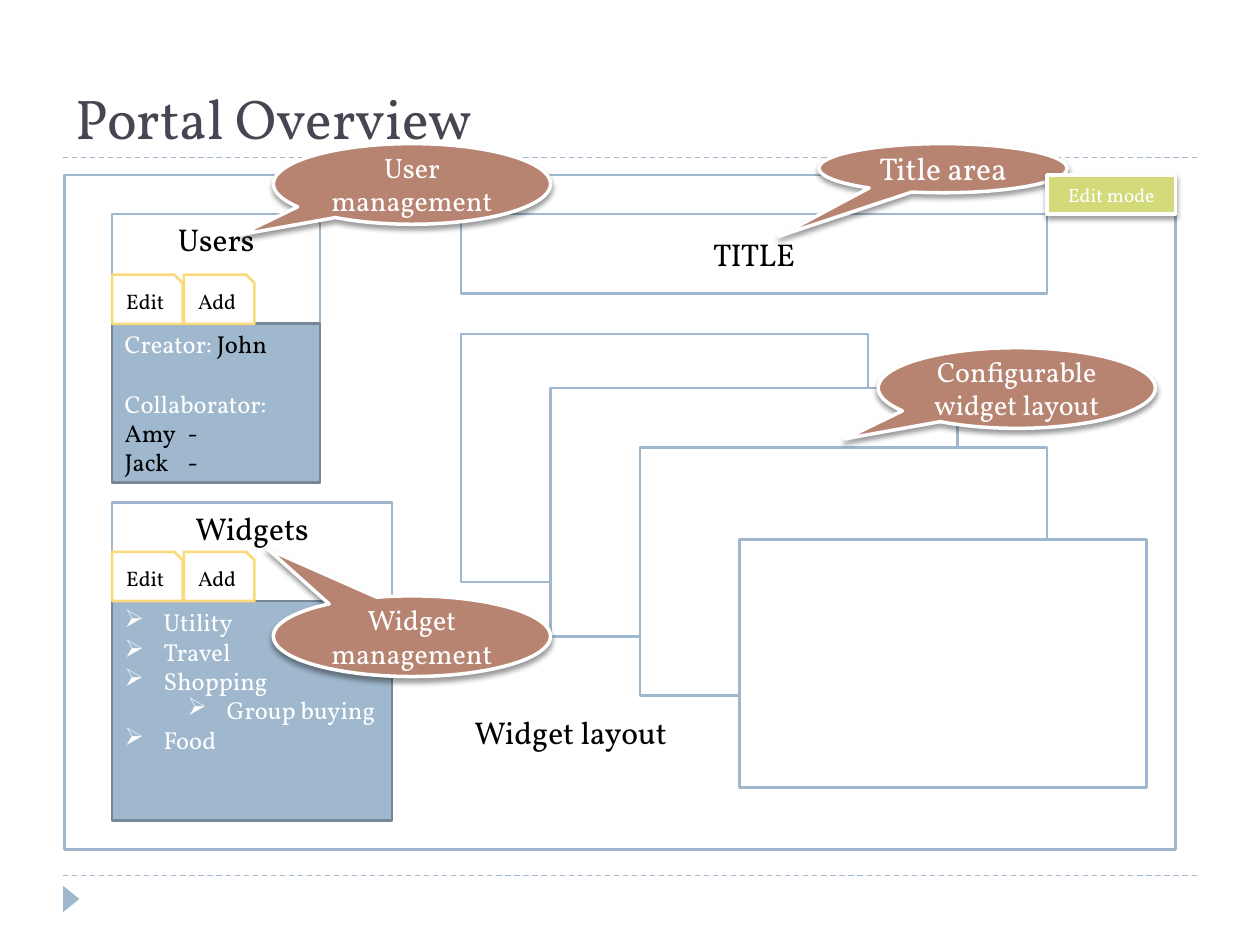
"""Build the portal overview slide with its panels, widgets and callouts."""
from lxml import etree
from pptx import Presentation
from pptx import util as u
from pptx.dml.color import RGBColor
from pptx.enum import dml, shapes, text
from pptx.oxml.ns import qn

PX = 9144
BLUE, SLATE, YELLOW, LIME, CLAY = "9FB8CD", "768898", "FADA7A", "D2DA7A", "B88472"
WHITE, BLACK, INK = "FFFFFF", "000000", "464653"
SHAPE, ANCHOR, ALIGN = shapes.MSO_SHAPE, text.MSO_ANCHOR, text.PP_ALIGN


def px(n):
    return u.Emu(n * PX)


def rgb(value):
    return RGBColor.from_string(value)


def sub(parent, tag, **attrs):
    el = etree.SubElement(parent, qn(tag))
    for name, value in attrs.items():
        el.set(name, str(value))
    return el


def add_run(p, content, size, color, font):
    r = p.add_run()
    r.text = content
    r.font.size, r.font.name = u.Pt(size), font
    r.font.color.rgb = rgb(color)


def write(tf, *lines, size=18, color=BLACK, font="Vollkorn", align=ALIGN.CENTER, anchor=ANCHOR.MIDDLE):
    """Write one paragraph per line; a line is a string or a list of (text, color) runs."""
    tf.word_wrap, tf.vertical_anchor = True, anchor
    for i, line in enumerate(lines):
        p = tf.add_paragraph() if i else tf.paragraphs[0]
        p.alignment = align
        for content, c in [(line, color)] if isinstance(line, str) else line:
            add_run(p, content, size, c, font)
    return tf.paragraphs


def add_bullet(p, level=0):
    p.level = level
    pPr = p._p.get_or_add_pPr()
    pPr.set("marL", str(px(31 + 50 * level)))
    pPr.set("indent", str(px(-31)))
    sub(pPr, "a:buChar", char="➢")


class Board:
    def __init__(self, slide):
        self.s = slide

    def title(self, content, x, y, w, h):
        sp = self.s.shapes.title
        sp.left, sp.top, sp.width, sp.height = map(px, (x, y, w, h))
        write(sp.text_frame, content, size=32, color=INK, align=ALIGN.LEFT, anchor=ANCHOR.BOTTOM)
        sp.text_frame.auto_size = text.MSO_AUTO_SIZE.NONE

    def rule(self, y):
        ln = self.s.shapes.add_connector(shapes.MSO_CONNECTOR.STRAIGHT, px(50), px(y), px(950), px(y))
        ln.line.color.rgb, ln.line.width = rgb(BLUE), u.Pt(0.75)
        ln.line.dash_style = dml.MSO_LINE.DASH
        sub(ln._element.spPr, "a:effectLst")

    def box(self, x, y, w, h, kind=SHAPE.RECTANGLE, fill=WHITE, line=BLUE, weight=1.5):
        sp = self.s.shapes.add_shape(kind, *map(px, (x, y, w, h)))
        sp.shadow.inherit = False
        sp.fill.solid()
        sp.fill.fore_color.rgb = rgb(fill)
        if line:
            sp.line.color.rgb, sp.line.width = rgb(line), u.Pt(weight)
        else:
            sp.line.fill.background()
        return sp

    def raised(self, content, x, y, w, h, size, fill, kind=SHAPE.RECTANGLE):
        sp = self.box(x, y, w, h, kind, fill, WHITE, 2)
        effects = sp._element.spPr.find(qn("a:effectLst"))
        shadow = sub(effects, "a:outerShdw", blurRad=u.Pt(3), dist=u.Pt(2), dir=5400000, rotWithShape=0)
        sub(sub(shadow, "a:srgbClr", val=BLACK), "a:alpha", val=40000)
        write(sp.text_frame, content, size=size, color=WHITE)
        return sp

    def callout(self, content, x, y, w, h, tip, size=16):
        sp = self.raised(content, x, y, w, h, size, CLAY, SHAPE.OVAL_CALLOUT)
        sp.adjustments[0], sp.adjustments[1] = tip

    def panel(self, heading, x, y, w, h, body_y):
        write(self.box(x, y, w, h).text_frame, heading, anchor=ANCHOR.TOP)
        return self.box(x, body_y, w, y + h - body_y, fill=BLUE, line=SLATE).text_frame

    def tabs(self, x, y):
        for i, name in enumerate(("Edit", "Add")):
            sp = self.box(x + 57 * i, y, 56, 39, SHAPE.SNIP_1_RECTANGLE, line=YELLOW)
            write(sp.text_frame, name, size=12)

    def label(self, content, x, y, w, h):
        write(self.s.shapes.add_textbox(*map(px, (x, y, w, h))).text_frame, content, anchor=ANCHOR.TOP)


def main():
    prs = Presentation()
    prs.slide_width, prs.slide_height = px(1000), px(750)
    board = Board(prs.slides.add_slide(prs.slide_layouts[5]))

    board.rule(695)
    board.rule(125)
    board.box(46, 707, 21, 13, SHAPE.ISOSCELES_TRIANGLE, BLUE, None).rotation = 90
    board.title("Portal Overview", 50, 17, 900, 108)
    board.box(51, 139, 882, 535)

    widgets = board.panel("Widgets", 89, 399, 222, 252, 477)
    items = ("Utility", "Travel", "Shopping", "Group buying", "Food")
    for p in write(widgets, *items, size=14, color=WHITE, align=ALIGN.LEFT, anchor=ANCHOR.TOP):
        add_bullet(p, int(p.text == "Group buying"))

    write(board.box(366, 170, 465, 63).text_frame, "TITLE")

    users = board.panel("Users", 89, 170, 165, 213, 257)
    creator = [("Creator: ", WHITE), ("John", BLACK)]
    lines = write(users, creator, [("Collaborator:", WHITE)], "Amy\t-", "Jack\t-",
                  size=14, align=ALIGN.LEFT)
    lines[1].space_before = u.Pt(17)

    for x, y in ((366, 265), (437, 308), (508, 355), (587, 428)):
        board.box(x, y, 323, 197)
    board.label("Widget layout", 350, 561, 206, 40)

    board.callout("Title area", 650, 114, 197, 39, (-0.66, 1.38), 18)
    for y in (218, 438):
        board.tabs(89, y)
    board.raised("Edit mode", 831, 139, 102, 31, 11, LIME)
    for content, x, y, tip in (
        ("User management", 217, 114, (-0.62, 0.63)),
        ("Widget management", 217, 473, (-0.52, -1.08)),
        ("Configurable widget layout", 697, 276, (-0.62, 0.63)),
    ):
        board.callout(content, x, y, 220, 64, tip)

    prs.save("out.pptx")


if __name__ == "__main__":
    main()
